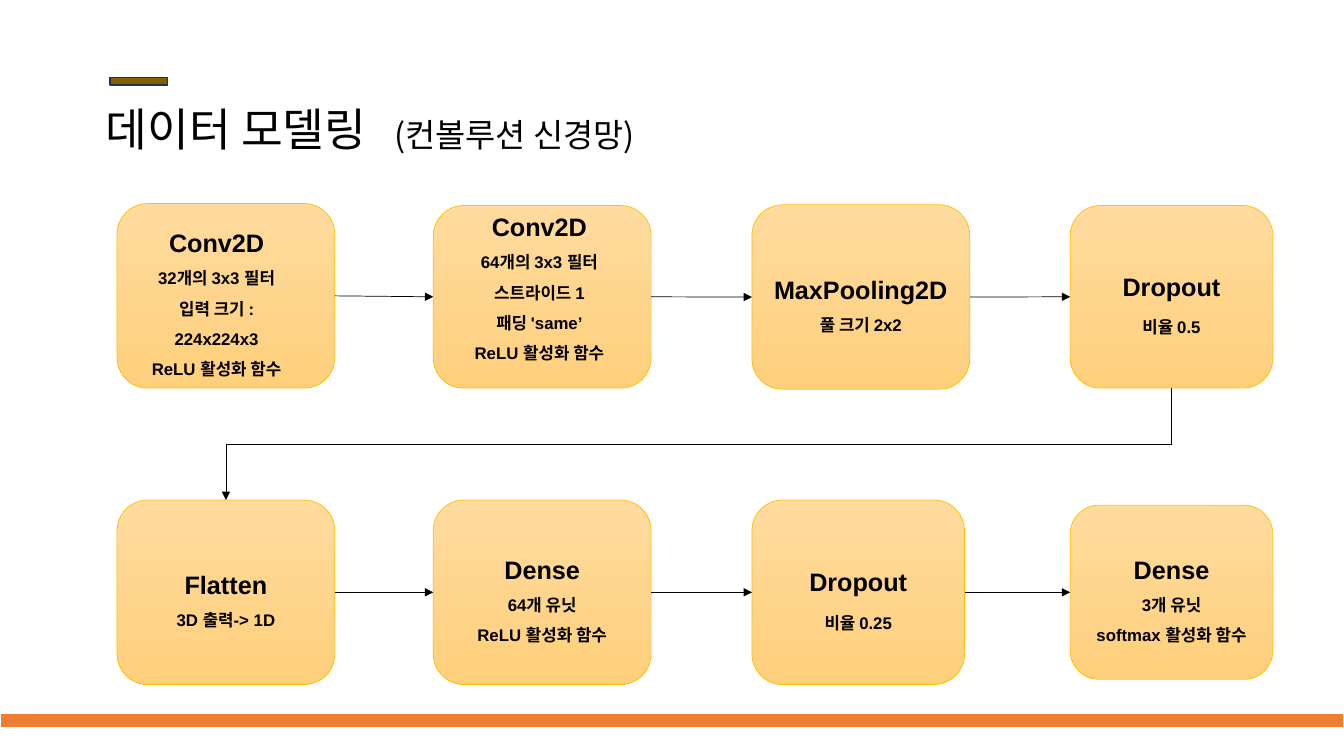
from dataclasses import dataclass

from lxml import etree
from pptx import Presentation
from pptx.dml.color import RGBColor
from pptx.enum.shapes import MSO_CONNECTOR, MSO_SHAPE
from pptx.enum.text import MSO_ANCHOR, MSO_AUTO_SIZE, PP_ALIGN
from pptx.oxml.ns import qn
from pptx.util import Cm, Pt

ROUND_RECT, RECT = MSO_SHAPE.ROUNDED_RECTANGLE, MSO_SHAPE.RECTANGLE
STRAIGHT, ELBOW = MSO_CONNECTOR.STRAIGHT, MSO_CONNECTOR.ELBOW
MIDDLE, BOTTOM = MSO_ANCHOR.MIDDLE, MSO_ANCHOR.BOTTOM
CENTER, NO_FIT = PP_ALIGN.CENTER, MSO_AUTO_SIZE.NONE
LEFT_SIDE, RIGHT_SIDE = 1, 3

BLACK = RGBColor(0x00, 0x00, 0x00)
WHITE = RGBColor(0xFF, 0xFF, 0xFF)
LAYER_TOP = RGBColor(0xFF, 0xDB, 0x9E)
LAYER_BOTTOM = RGBColor(0xFF, 0xD0, 0x7C)
LAYER_EDGE = RGBColor(0xFF, 0xC0, 0x00)
ACCENT = RGBColor(0x80, 0x60, 0x00)
ACCENT_EDGE = RGBColor(0x1E, 0x32, 0x56)
FOOTER = RGBColor(0xED, 0x7D, 0x31)

LATIN_FONT, KOREAN_FONT = "Arial", "Noto Sans CJK KR"
COLUMNS = (2.95, 10.92, 18.95, 26.97)


@dataclass
class Layer:
    column: int
    top: float
    width: float
    height: float
    name: str
    details: tuple[str, ...]
    detail_gap: float = 0
    name_right_margin: float = 0
    bottom_inset: float = 0.13


ROWS = (
    (
        Layer(0, 5.13, 5.49, 4.65, "Conv2D",
              ("32개의 3x3 필터", "입력 크기 : 224x224x3", "ReLU 활성화 함수"),
              name_right_margin=0.47),
        Layer(1, 5.18, 5.49, 4.6, "Conv2D",
              ("64개의 3x3 필터", "스트라이드 1", "패딩 'same’", "ReLU 활성화 함수"),
              name_right_margin=0.14, bottom_inset=0.98),
        Layer(2, 5.16, 5.49, 4.65, "MaxPooling2D", ("풀 크기 2x2",)),
        Layer(3, 5.18, 5.11, 4.6, "Dropout", ("비율 0.5",), detail_gap=4),
    ),
    (
        Layer(0, 12.6, 5.49, 4.65, "Flatten", ("3D 출력-> 1D",)),
        Layer(1, 12.6, 5.49, 4.65, "Dense", ("64개 유닛", "ReLU 활성화 함수")),
        Layer(2, 12.6, 5.36, 4.65, "Dropout", ("비율 0.25",), detail_gap=4),
        Layer(3, 12.73, 5.11, 4.39, "Dense", ("3개 유닛", "softmax 활성화 함수")),
    ),
)


def add_run(p, text: str, size: float, latin: str, bold: bool = False) -> None:
    r = p.add_run()
    r.text = text
    r.font.name, r.font.size, r.font.bold = latin, Pt(size), bold
    r.font.color.rgb = BLACK
    etree.SubElement(r.font._element, qn("a:ea"), typeface=KOREAN_FONT)


def fill_heading(sp, left: float, top: float, width: float, height: float,
                 text: str, size: float) -> None:
    sp.left, sp.top, sp.width, sp.height = Cm(left), Cm(top), Cm(width), Cm(height)
    tf = sp.text_frame
    tf.auto_size, tf.word_wrap, tf.vertical_anchor = NO_FIT, True, BOTTOM
    p = tf.paragraphs[0]
    p.alignment, p.line_spacing, p.space_before = CENTER, 0.9, Pt(0)
    add_run(p, text, size, KOREAN_FONT)


def add_bar(slide, left: float, top: float, width: float, height: float,
            fill: RGBColor, edge: RGBColor, edge_width: float) -> None:
    sp = slide.shapes.add_shape(RECT, Cm(left), Cm(top), Cm(width), Cm(height))
    sp.shadow.inherit = False
    sp.fill.solid()
    sp.fill.fore_color.rgb = fill
    sp.line.color.rgb, sp.line.width = edge, Pt(edge_width)


def add_layer(slide, layer: Layer):
    sp = slide.shapes.add_shape(ROUND_RECT, Cm(COLUMNS[layer.column]), Cm(layer.top),
                                Cm(layer.width), Cm(layer.height))
    sp.shadow.inherit = False
    sp.fill.gradient()
    sp.fill.gradient_angle = 270
    for stop, color in zip(sp.fill.gradient_stops, (LAYER_TOP, LAYER_BOTTOM)):
        stop.color.rgb = color
    sp.line.color.rgb, sp.line.width = LAYER_EDGE, Pt(0.5)
    tf = sp.text_frame
    tf.word_wrap, tf.vertical_anchor = True, MIDDLE
    tf.margin_bottom = Cm(layer.bottom_inset)
    for i, text in enumerate((layer.name, *layer.details)):
        p = tf.add_paragraph() if i else tf.paragraphs[0]
        p.alignment, p.line_spacing = CENTER, 1.5
        if i == 0:
            p._p.get_or_add_pPr().set("marR", str(Cm(layer.name_right_margin)))
        elif layer.detail_gap:
            p.space_before = Pt(layer.detail_gap)
        add_run(p, text, 12 if i else 18, LATIN_FONT, bold=True)
    return sp


def style_arrow(arrow) -> None:
    arrow.line.color.rgb, arrow.line.width = BLACK, Pt(0.5)
    etree.SubElement(arrow.line._get_or_add_ln(), qn("a:tailEnd"), type="triangle")
    etree.SubElement(arrow._element.spPr, qn("a:effectLst"))


def add_arrow(slide, source, target) -> None:
    arrow = slide.shapes.add_connector(STRAIGHT, 0, 0, 0, 0)
    arrow.begin_connect(source, RIGHT_SIDE)
    arrow.end_connect(target, LEFT_SIDE)
    style_arrow(arrow)


def add_row_return(slide, source, target) -> None:
    """Elbow from the bottom of source to the top of target, turned a quarter."""
    x1, y1 = source.left + source.width // 2, source.top + source.height
    x2, y2 = target.left + target.width // 2, target.top
    drop, run = y2 - y1, x1 - x2
    left, top = (x1 + x2 - drop) // 2, (y1 + y2 - run) // 2
    arrow = slide.shapes.add_connector(ELBOW, left, top, left + drop, top + run)
    arrow._element.spPr.find(qn("a:xfrm")).set("rot", str(90 * 60000))
    style_arrow(arrow)


def main() -> None:
    prs = Presentation()
    prs.slide_width, prs.slide_height = Cm(33.87), Cm(19.05)
    slide = prs.slides.add_slide(prs.slide_layouts[0])
    fill_heading(slide.shapes.title, 2.18, 2.03, 7.54, 2.03, "데이터 모델링", 32.4)
    fill_heading(slide.placeholders[1], 9.63, 2.72, 6.68, 1.3, "(컨볼루션 신경망)", 23.4)
    add_bar(slide, 2.77, 1.96, 1.45, 0.18, ACCENT, ACCENT_EDGE, 1)

    rows = [[add_layer(slide, layer) for layer in row] for row in ROWS]
    for row in rows:
        for source, target in zip(row, row[1:]):
            add_arrow(slide, source, target)
    add_row_return(slide, rows[0][-1], rows[1][0])

    add_bar(slide, 0, 17.96, 33.87, 0.38, FOOTER, WHITE, 1.5)
    prs.save("out.pptx")


if __name__ == "__main__":
    main()
